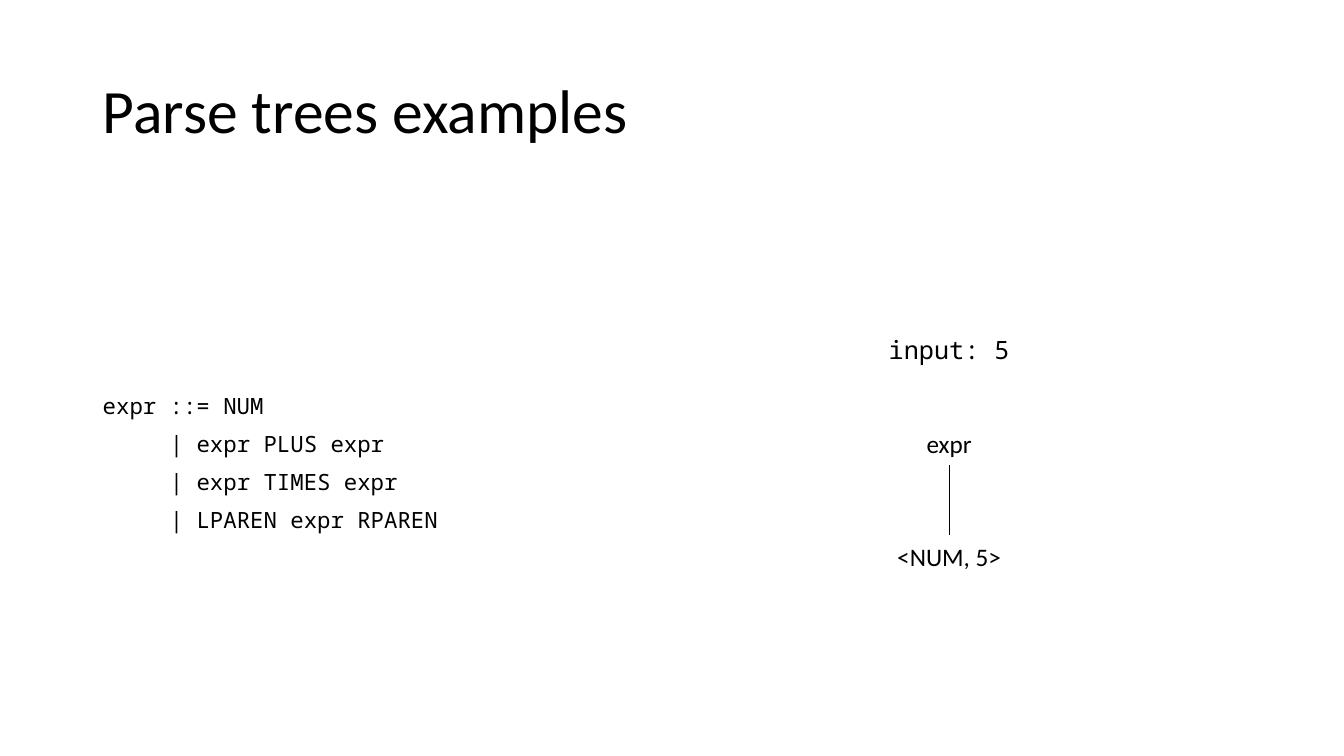
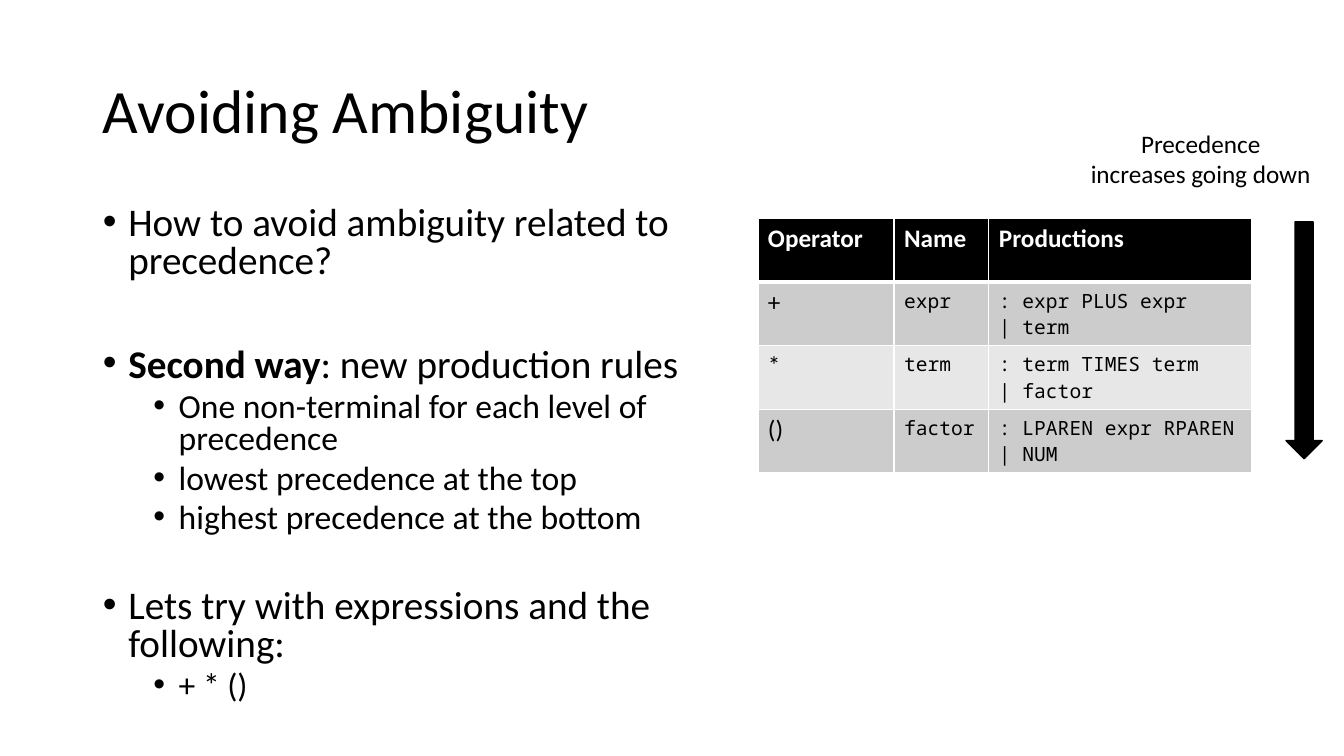
"""Build two slides on parse trees and operator precedence."""
from dataclasses import dataclass
from typing import Any, Optional

import lxml.etree
import pptx
import pptx.dml.color
import pptx.enum.shapes
import pptx.enum.text
import pptx.oxml.ns
import pptx.util

Cm = pptx.util.Cm
Pt = pptx.util.Pt
ALIGN = pptx.enum.text.PP_ALIGN
ANCHOR = pptx.enum.text.MSO_ANCHOR
FIT = pptx.enum.text.MSO_AUTO_SIZE

COLORS = {"ink": "000000", "paper": "FFFFFF", "dark_band": "CCCCCC", "light_band": "E7E7E7"}
SANS = "Calibri"
MONO = "Noto Sans Mono"
MARGIN = 2.34
TREE_X = 23.92
LABEL_H = 1.02
CODE_INDENT = 1.69
ROW_H = 1.6
COL_WIDTHS = (3.43, 2.39, 6.63)


@dataclass(frozen=True)
class Font:
    size: float
    name: str = SANS
    color: str = "ink"
    bold: bool = False


@dataclass(frozen=True)
class Label:
    lines: tuple[str, ...]
    center: float
    top: float
    width: float
    height: float = LABEL_H
    font: Font = Font(18)


@dataclass(frozen=True)
class Bullet:
    runs: tuple[tuple[str, bool], ...]
    level: int = 0
    before: Optional[float] = None


@dataclass(frozen=True)
class Operator:
    symbol: str
    name: str
    productions: tuple[str, ...]


LABELS = (
    Label(("input: 5",), TREE_X, 8.31, 3.58, font=Font(18, MONO)),
    Label(("expr",), TREE_X, 10.67, 1.65),
    Label(("<NUM, 5>",), TREE_X, 13.51, 3.15),
)
GRAMMAR = ("expr ::= NUM", "| expr PLUS expr", "| expr TIMES expr", "| LPAREN expr RPAREN")
PRECEDENCE = Label(("Precedence", "increases going down"), 30.26, 3.1, 6.12, 1.8)
BULLETS = (
    Bullet((("How to avoid ambiguity related to precedence?", False),)),
    Bullet((("Second way", True), (": new production rules", False)), before=47.3),
    Bullet((("One non-terminal for each level of precedence", False),), 1),
    Bullet((("lowest precedence at the top", False),), 1),
    Bullet((("highest precedence at the bottom", False),), 1),
    Bullet((("Lets try with expressions and the following:", False),), before=38.4),
    Bullet((("+ * ()", False),), 1),
)
HEADERS = ("Operator", "Name", "Productions")
OPERATORS = (
    Operator("+", "expr", (": expr PLUS expr", "| term")),
    Operator("*", "term", (": term TIMES term", "| factor")),
    Operator("()", "factor", (": LPAREN expr RPAREN", "| NUM")),
)


def rgb(key: str) -> pptx.dml.color.RGBColor:
    """Return the named colour."""
    return pptx.dml.color.RGBColor.from_string(COLORS[key])


def add_run(p: Any, text: str, font: Font) -> None:
    """Append one formatted run."""
    r = p.add_run()
    r.text = text
    r.font.name = font.name
    r.font.size = Pt(font.size)
    r.font.bold = font.bold
    r.font.color.rgb = rgb(font.color)


def next_paragraph(tf: Any, i: int) -> Any:
    """Return the first paragraph, or a new one after it."""
    return tf.add_paragraph() if i else tf.paragraphs[0]


def place(sp: Any, left: float, top: float, width: float, height: float) -> None:
    """Move and size a shape, in centimetres."""
    sp.left, sp.top, sp.width, sp.height = Cm(left), Cm(top), Cm(width), Cm(height)


def set_indent(p: Any, left: float, first: float) -> None:
    """Set the left margin and first-line indent, in centimetres."""
    pPr = p._p.get_or_add_pPr()
    pPr.set("marL", str(int(Cm(left))))
    pPr.set("indent", str(int(Cm(first))))


def add_slide(prs: Any, layout: int, title: str) -> Any:
    """Add a slide with the shared title style."""
    s = prs.slides.add_slide(prs.slide_layouts[layout])
    sp = s.shapes.title
    place(sp, MARGIN, 1.02, 29.21, 3.68)
    tf = sp.text_frame
    tf.auto_size = FIT.NONE
    tf.vertical_anchor = ANCHOR.MIDDLE
    p = tf.paragraphs[0]
    p.alignment = ALIGN.LEFT
    p.line_spacing = 0.9
    add_run(p, title, Font(44))
    return s


def add_label(s: Any, label: Label) -> None:
    """Draw a label centred on its horizontal position."""
    sp = s.shapes.add_textbox(Cm(label.center - label.width / 2), Cm(label.top),
                              Cm(label.width), Cm(label.height))
    tf = sp.text_frame
    tf.word_wrap = False
    tf.auto_size = FIT.SHAPE_TO_FIT_TEXT
    for i, line in enumerate(label.lines):
        p = next_paragraph(tf, i)
        p.alignment = ALIGN.CENTER
        add_run(p, line, label.font)


def add_branch(s: Any, x: float, top: float, bottom: float) -> None:
    """Draw a vertical tree branch."""
    sp = s.shapes.add_connector(pptx.enum.shapes.MSO_CONNECTOR.STRAIGHT,
                                Cm(x), Cm(top), Cm(x), Cm(bottom))
    sp.line.color.rgb = rgb("ink")
    sp.line.width = Pt(0.5)
    lxml.etree.SubElement(sp._element.spPr, pptx.oxml.ns.qn("a:effectLst"))


def add_grammar(s: Any) -> None:
    """Write the grammar with its alternatives indented."""
    tf = s.shapes.add_textbox(Cm(MARGIN), Cm(9.83), Cm(10.46), Cm(4.39)).text_frame
    tf.word_wrap = True
    for i, line in enumerate(GRAMMAR):
        p = next_paragraph(tf, i)
        p.line_spacing = 0.9
        p.space_before = Pt(10)
        set_indent(p, CODE_INDENT if i else 0, 0)
        add_run(p, line, Font(16, MONO))


def add_bullets(sp: Any, bullets: tuple[Bullet, ...]) -> None:
    """Fill the body placeholder with a two-level list."""
    place(sp, MARGIN, 5.08, 16.23, 12.95)
    tf = sp.text_frame
    tf.auto_size = FIT.NONE
    for i, bullet in enumerate(bullets):
        p = next_paragraph(tf, i)
        p.level = bullet.level
        p.line_spacing = 0.8
        p.space_before = Pt(bullet.before or (5 if bullet.level else 10))
        set_indent(p, 0.64 + 1.27 * bullet.level, -0.64)
        mark = lxml.etree.SubElement(p._p.get_or_add_pPr(), pptx.oxml.ns.qn("a:buChar"))
        mark.set("char", "•")
        for text, bold in bullet.runs:
            add_run(p, text, Font(24 if bullet.level else 28, bold=bold))


def set_borders(cell: Any, bottom: float) -> None:
    """Give a cell white borders."""
    qn = pptx.oxml.ns.qn
    tcPr = cell._tc.get_or_add_tcPr()
    for side, width in (("L", 1), ("R", 1), ("T", 1), ("B", bottom)):
        ln = lxml.etree.SubElement(tcPr, qn(f"a:ln{side}"), w=str(int(Pt(width))))
        fill = lxml.etree.SubElement(ln, qn("a:solidFill"))
        lxml.etree.SubElement(fill, qn("a:srgbClr"), val=COLORS["paper"])


def fill_cell(cell: Any, lines: tuple[str, ...], font: Font, fill: str, bottom: float) -> None:
    """Write and colour one table cell."""
    p = cell.text_frame.paragraphs[0]
    for i, line in enumerate(lines):
        if i:
            p.add_line_break()
        add_run(p, line, font)
    set_borders(cell, bottom)
    cell.fill.solid()
    cell.fill.fore_color.rgb = rgb(fill)


def add_operators(s: Any) -> None:
    """Draw the table of operators and their productions."""
    n = len(OPERATORS) + 1
    table = s.shapes.add_table(n, len(HEADERS), Cm(19.1), Cm(5.51),
                               Cm(sum(COL_WIDTHS)), Cm(ROW_H * n)).table
    for column, width in zip(table.columns, COL_WIDTHS):
        column.width = Cm(width)
    for row in table.rows:
        row.height = Cm(ROW_H)
    for j, header in enumerate(HEADERS):
        fill_cell(table.cell(0, j), (header,), Font(18, color="paper", bold=True), "ink", 3)
    for i, op in enumerate(OPERATORS, 1):
        band = "dark_band" if i % 2 else "light_band"
        for j, lines in enumerate(((op.symbol,), (op.name,), op.productions)):
            fill_cell(table.cell(i, j), lines, Font(14, MONO) if j else Font(18), band, 1)


def add_down_arrow(s: Any) -> None:
    """Draw the arrow of increasing precedence."""
    sp = s.shapes.add_shape(pptx.enum.shapes.MSO_SHAPE.DOWN_ARROW,
                            Cm(32.41), Cm(5.59), Cm(0.91), Cm(5.97))
    sp.shadow.inherit = False
    sp.fill.solid()
    sp.fill.fore_color.rgb = rgb("ink")
    sp.line.color.rgb = rgb("ink")
    sp.line.width = Pt(1)


def build_parse_tree(prs: Any) -> None:
    """Build the parse tree slide."""
    s = add_slide(prs, 5, "Parse trees examples")
    for label in LABELS:
        add_label(s, label)
    add_branch(s, TREE_X, 11.71, 13.49)
    add_grammar(s)


def build_precedence(prs: Any) -> None:
    """Build the precedence slide."""
    s = add_slide(prs, 1, "Avoiding Ambiguity")
    add_bullets(s.placeholders[1], BULLETS)
    add_operators(s)
    add_down_arrow(s)
    add_label(s, PRECEDENCE)


def main() -> None:
    """Build and save the presentation."""
    prs = pptx.Presentation()
    prs.slide_width, prs.slide_height = Cm(33.87), Cm(19.05)
    build_parse_tree(prs)
    build_precedence(prs)
    prs.save("out.pptx")


main()
